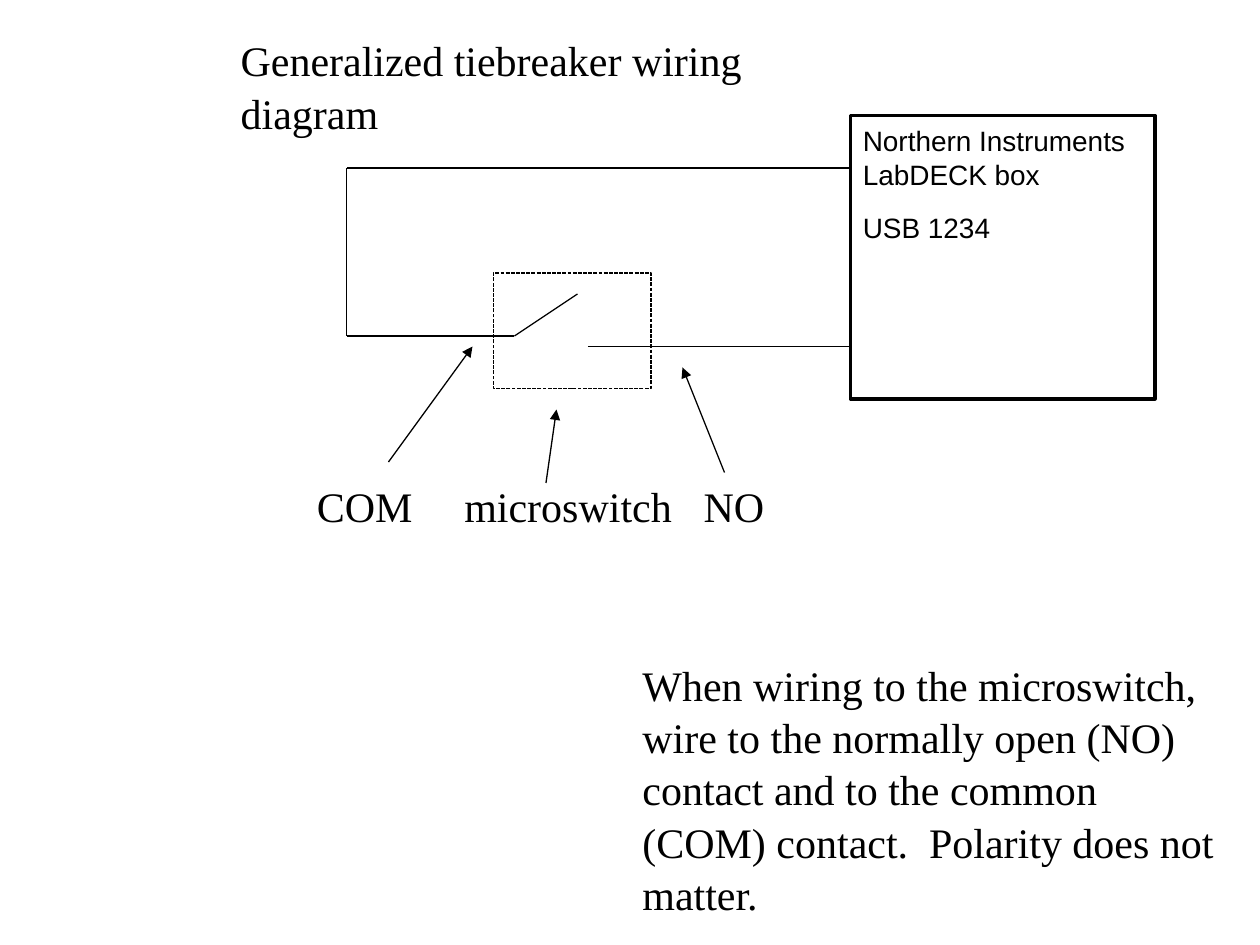
import pptx
import pptx.dml.color
import pptx.enum.dml
import pptx.enum.shapes
import pptx.enum.text
import pptx.oxml.ns
import pptx.oxml.xmlchemy
import pptx.util

BLACK = pptx.dml.color.RGBColor(0, 0, 0)
UNIT = pptx.util.Inches(1) // 12
SERIF = {"name": "Times New Roman", "size": pptx.util.Pt(24)}
SANS = {"name": "Arial", "size": pptx.util.Pt(16)}


def write_text(shape, lines, font, space_before=0, wrap=True):
    frame = shape.text_frame
    frame.text = "\n".join(lines)
    frame.word_wrap = wrap
    frame.auto_size = pptx.enum.text.MSO_AUTO_SIZE.NONE
    frame.vertical_anchor = pptx.enum.text.MSO_ANCHOR.TOP
    layout = {
        "alignment": pptx.enum.text.PP_ALIGN.LEFT,
        "space_before": pptx.util.Pt(space_before),
        "line_spacing": 1.04,
    }
    for paragraph in frame.paragraphs:
        for name, value in layout.items():
            setattr(paragraph, name, value)
        for run in paragraph.runs:
            for name, value in font.items():
                setattr(run.font, name, value)
            run.font.color.rgb = BLACK


def add_box(column, row, columns, rows, weight):
    box = slide.shapes.add_shape(
        pptx.enum.shapes.MSO_SHAPE.RECTANGLE,
        column * UNIT, row * UNIT, columns * UNIT, rows * UNIT,
    )
    box.shadow.inherit = False
    box.fill.background()
    box.line.color.rgb = BLACK
    box.line.width = pptx.util.Pt(weight)
    return box


presentation = pptx.Presentation()
presentation.slide_width = 120 * UNIT
presentation.slide_height = 90 * UNIT
slide = presentation.slides.add_slide(presentation.slide_layouts[5])

title = slide.shapes.title
title_place = {"left": 1.81, "top": 0.21, "width": 5.35, "height": 0.5}
for name, value in title_place.items():
    setattr(title, name, pptx.util.Inches(value))
write_text(title, ["Generalized tiebreaker wiring diagram"], SERIF, wrap=False)

interface_box = add_box(81, 11, 29, 27, 2)
write_text(interface_box, ["Northern Instruments LabDECK box", "USB 1234"], SANS, 10)

microswitch = add_box(47, 26, 15, 11, 0.75)
microswitch.line.dash_style = pptx.enum.dml.MSO_LINE.SQUARE_DOT

wires = [
    (81, 16, 33, 16),
    (33, 16, 33, 32),
    (33, 32, 49, 32),
    (49, 32, 55, 28),
    (56, 33, 81, 33),
]
arrows = [(37, 44, 45, 33), (52, 46, 53, 39), (69, 45, 65, 35)]
for ends in wires + arrows:
    line = slide.shapes.add_connector(
        pptx.enum.shapes.MSO_CONNECTOR.STRAIGHT, *(end * UNIT for end in ends)
    )
    line.line.color.rgb = BLACK
    line.line.width = pptx.util.Pt(0.75)
    properties = line._element.spPr
    properties.append(pptx.oxml.xmlchemy.OxmlElement("a:effectLst"))
    if ends in arrows:
        arrowhead = pptx.oxml.xmlchemy.OxmlElement("a:tailEnd")
        arrowhead.set("type", "triangle")
        properties.find(pptx.oxml.ns.qn("a:ln")).append(arrowhead)

labels = slide.shapes.add_textbox(29 * UNIT, 45 * UNIT, 48 * UNIT, 6 * UNIT)
write_text(labels, ["COM\tmicroswitch\tNO"], SERIF)
tab_list = pptx.oxml.xmlchemy.OxmlElement("a:tabLst")
for position in (1.17, 3.07):
    tab = pptx.oxml.xmlchemy.OxmlElement("a:tab")
    tab.set("pos", str(pptx.util.Inches(position)))
    tab.set("algn", "l")
    tab_list.append(tab)
labels.text_frame.paragraphs[0]._p.get_or_add_pPr().append(tab_list)

instructions = slide.shapes.add_textbox(60 * UNIT, 62 * UNIT, 57 * UNIT, 25 * UNIT)
write_text(
    instructions,
    [
        "When wiring to the microswitch, wire to the normally open (NO) contact "
        "and to the common (COM) contact.  Polarity does not matter."
    ],
    SERIF,
    15,
)

presentation.save("out.pptx")
